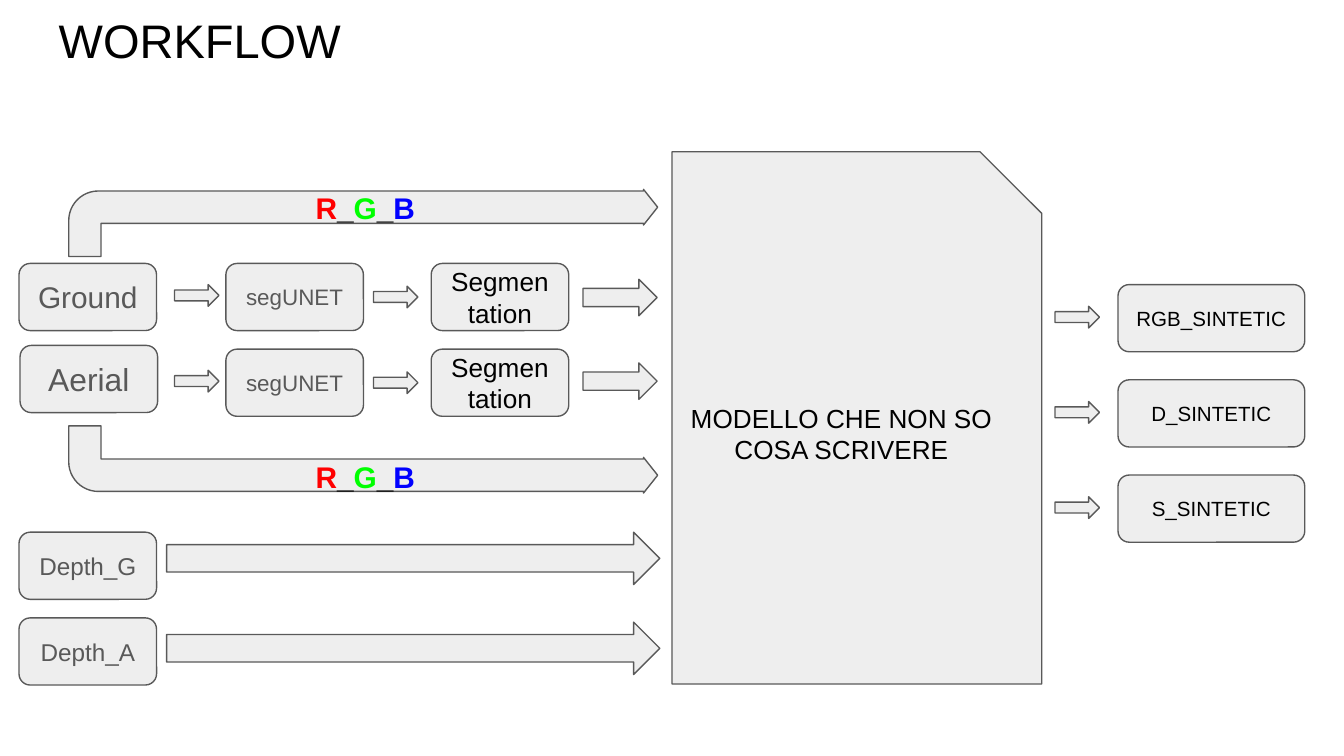
from pptx import Presentation
from pptx import util as u
from pptx.dml.color import RGBColor
from pptx.enum import shapes, text

BLACK = RGBColor(0, 0, 0)
GREY = RGBColor(0x59, 0x59, 0x59)
PALE = RGBColor(0xEE, 0xEE, 0xEE)
RED = RGBColor(0xFF, 0, 0)
GREEN = RGBColor(0, 0xFF, 0)
BLUE = RGBColor(0, 0, 0xFF)

KIND = shapes.MSO_SHAPE
MID = text.MSO_ANCHOR.MIDDLE
TOP = text.MSO_ANCHOR.TOP
CENTER = text.PP_ALIGN.CENTER
LEFT = text.PP_ALIGN.LEFT


def write(shape, runs, size=14, bold=False, align=CENTER, anchor=MID):
    """Fill a shape with one paragraph of (words, colour) runs."""
    frame = shape.text_frame
    frame.word_wrap = True
    frame.vertical_anchor = anchor
    frame.margin_left = frame.margin_right = u.Cm(0.25)
    frame.margin_top = frame.margin_bottom = u.Cm(0.25)
    para = frame.paragraphs[0]
    para.alignment = align
    for words, color in runs:
        run = para.add_run()
        run.text = words
        font = run.font
        font.name, font.size, font.bold = "Arial", u.Pt(size), bold
        font.color.rgb = color


class Flow:
    """Style and current slide of the diagram; lengths are in cm."""

    def __init__(self, slide, fill=PALE, line=GREY):
        self.slide, self.fill, self.line = slide, fill, line

    def shape(self, kind, x, y, w, h, adjust=()):
        item = self.slide.shapes.add_shape(
            kind, u.Cm(x), u.Cm(y), u.Cm(w), u.Cm(h))
        item.shadow.inherit = False
        item.fill.solid()
        item.fill.fore_color.rgb = self.fill
        item.line.color.rgb = self.line
        item.line.width = u.Pt(0.75)
        for i, value in enumerate(adjust):
            item.adjustments[i] = value
        return item

    def box(self, words, x, y, w=2.6, h=1.27, size=14, color=BLACK,
            kind=KIND.ROUNDED_RECTANGLE):
        item = self.shape(kind, x, y, w, h, [0.167])
        write(item, [(words, color)], size=size)

    def arrow(self, x, y, w=0.84, h=0.41, shaft=0.5):
        self.shape(KIND.RIGHT_ARROW, x, y, w, h, [shaft, 0.5])

    def bend(self, y, mirror=False):
        item = self.shape(KIND.BENT_ARROW, 1.3, y, 11.13, 1.27,
                          [0.481, 0.266, 0.211, 0.439])
        if mirror:  # half turn plus side flip: upside down
            item.rotation = 180
            item._element.spPr.xfrm.set("flipH", "1")

    def label(self, runs, x, y, w, h, **style):
        item = self.slide.shapes.add_textbox(
            u.Cm(x), u.Cm(y), u.Cm(w), u.Cm(h))
        write(item, runs, **style)


def main():
    deck = Presentation()
    deck.slide_width, deck.slide_height = u.Cm(25.4), u.Cm(14.29)
    flow = Flow(deck.slides.add_slide(deck.slide_layouts[6]))

    # Title
    flow.label([("WORKFLOW", BLACK)], 0.86, -0.03, 23.67, 1.6,
               size=25.2, align=LEFT, anchor=TOP)

    # Image inputs
    flow.box("Ground", 0.36, 4.98, size=16, color=GREY)
    flow.box("Aerial", 0.38, 6.53, size=17, color=GREY)

    # Segmentation rows
    for y, out in ((4.98, 5.28), (6.6, 6.86)):
        flow.arrow(3.3, y + 0.4)
        flow.box("segUNET", 4.27, y, size=12, color=GREY)
        flow.arrow(7.06, y + 0.43)
        flow.box("Segmentation", 8.15, y)
        flow.arrow(11.02, out, 1.4, 0.69)

    # Colour paths around the rows
    rgb = [("R", RED), ("_", BLACK), ("G", GREEN), ("_", BLACK), ("B", BLUE)]
    for y, top, mirror in ((3.58, 3.66, False), (8.05, 8.74, True)):
        flow.bend(y, mirror)
        flow.label(rgb, 4.57, top, 4.67, 0.53, size=16, bold=True)

    # Depth inputs
    for words, y, top in (("Depth_G", 10.06, 10.06),
                          ("Depth_A", 11.68, 11.76)):
        flow.box(words, 0.36, y, size=13, color=GREY)
        flow.arrow(3.15, top, 9.32, 0.99, shaft=0.524)

    # Model
    flow.box("MODELLO CHE NON SO COSA SCRIVERE", 12.7, 2.87, 6.99, 10.06,
             kind=KIND.SNIP_1_RECTANGLE)

    # Outputs
    for i, name in enumerate(("RGB", "D", "S")):
        y = 5.38 + 1.8 * i
        flow.arrow(19.94, y + 0.41)
        flow.box(name + "_SINTETIC", 21.13, y, w=3.53, size=11)

    deck.save("out.pptx")


if __name__ == "__main__":
    main()
